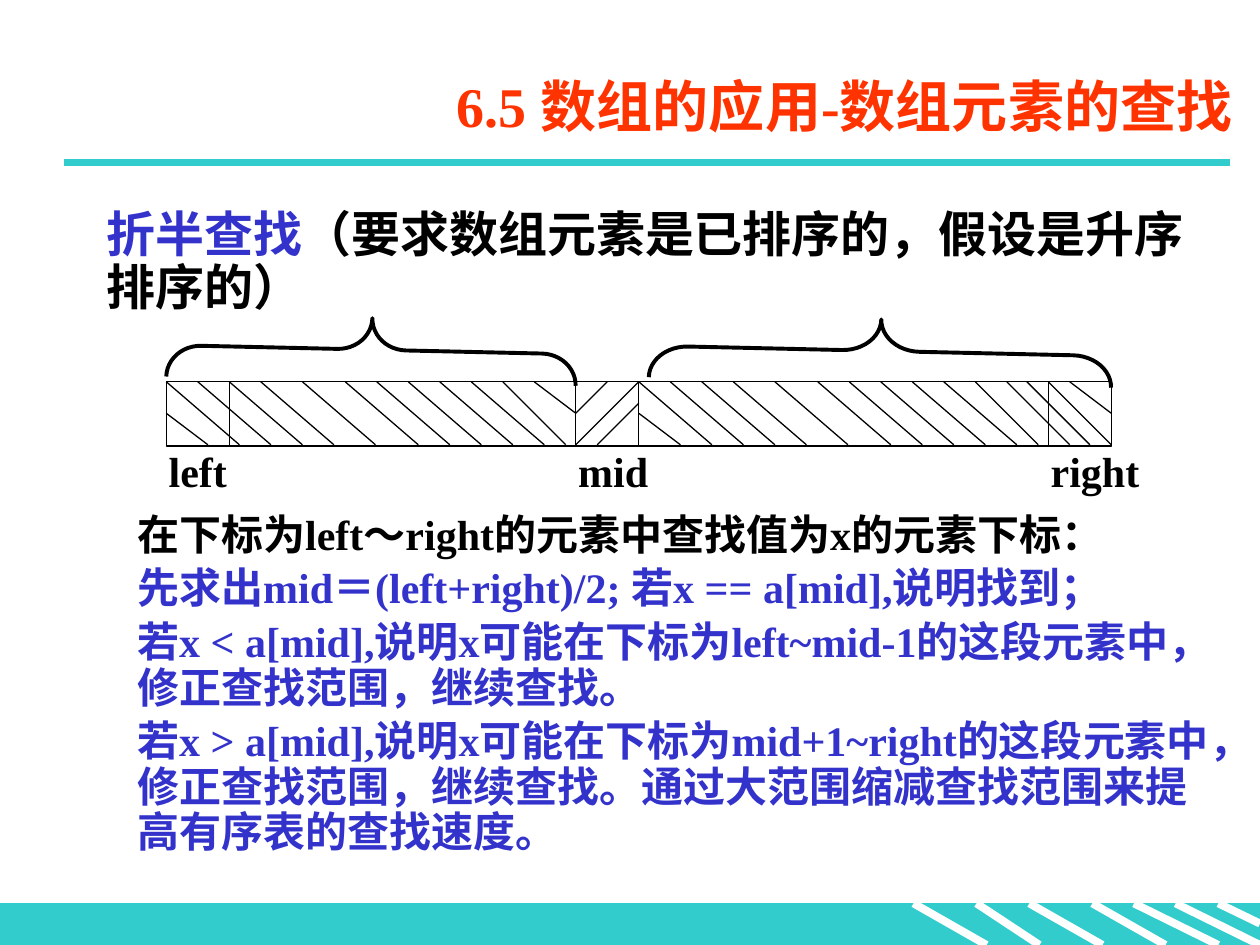
from lxml import etree
from pptx import Presentation
from pptx.dml.color import RGBColor
from pptx.enum import shapes, text
from pptx.oxml.ns import qn
from pptx.util import Inches, Pt

THEME = {
    "font": "Times New Roman",
    "teal": "33CCCC", "white": "FFFFFF", "black": "000000",
    "red": "FF3300", "blue": "3333CC",
    "title": 32, "lead": 28, "body": 24,
    "thin": 0.75, "brace": 2.25, "thick": 4.5,
}

TITLE = [[("6.5 数组的应用-数组元素的查找", "red")]]
LEAD = [[("折半查找", "blue"), ("（要求数组元素是已排序的，假设是升序排序的）", "black")]]
BODY = [
    [("在下标为left～right的元素中查找值为x的元素下标：", "black")],
    [("先求出mid＝(left+right)/2; 若x == a[mid],说明找到；", "blue")],
    [("若x < a[mid],说明x可能在下标为left~mid-1的这段元素中，修正查找范围，继续查找。", "blue")],
    [("若x > a[mid],说明x可能在下标为mid+1~right的这段元素中，修正查找范围，继续查找。"
      "通过大范围缩减查找范围来提高有序表的查找速度。", "blue")],
]

BAR_LEFT, BAR_TOP, BAR_WIDTH, BAR_HEIGHT = 1.32, 3.03, 7.5, 0.5
CELL = 0.5
MID = BAR_LEFT + 3.25
RIGHT = BAR_LEFT + BAR_WIDTH - CELL
DIVIDERS = [BAR_LEFT + CELL, MID, MID + CELL, RIGHT]
LABELS = [("left", BAR_LEFT, 0.67), ("mid", MID, 1.08), ("right", RIGHT, 1.08)]
BRACES = [(2.7, 1.15, 3.25, 0.545), (6.74, 0.95, 3.67, 0.615)]

HATCH_STARTS = [0, 0.25, 0.5, 0.75, 1.08, 1.42, 1.67, 1.92, 2.17, 2.42]
HATCH_RUN = 0.58
HALF = (0.33, 0.25)
STEEP_STARTS = {BAR_LEFT: [2.67], MID + CELL: [2.67, 2.92, 3.08, 3.25]}
MID_HATCH = [(0.25, 0, 0, 0.25), (0.5, 0, 0, 0.5), (0.5, 0.17, 0.17, 0.5)]

FOOTER_TOP, FOOTER_HEIGHT = 7.17, 0.33
FOOTER_STRIPES = [
    (7.25, 7.83, 7.5), (7.75, 8.25, 7.5), (8.17, 8.75, 7.5), (8.67, 9.25, 7.5),
    (9, 9.67, 7.5), (9.33, 10, 7.5), (9.67, 10, 7.33),
]


def color(name):
    return RGBColor.from_string(THEME[name])


def add_line(s, x1, y1, x2, y2, tone="black", weight="thin"):
    c = s.shapes.add_connector(
        shapes.MSO_CONNECTOR.STRAIGHT, Inches(x1), Inches(y1), Inches(x2), Inches(y2))
    c.line.color.rgb = color(tone)
    c.line.width = Pt(THEME[weight])
    etree.SubElement(c._element.spPr, qn("a:effectLst"))


def add_outline(s, kind, x, y, w, h, tone="black", weight="thin", fill=None):
    sp = s.shapes.add_shape(kind, Inches(x), Inches(y), Inches(w), Inches(h))
    sp.shadow.inherit = False
    if fill:
        sp.fill.solid()
        sp.fill.fore_color.rgb = color(fill)
    else:
        sp.fill.background()
    sp.line.color.rgb = color(tone)
    sp.line.width = Pt(THEME[weight])
    return sp


def add_text(s, paragraphs, x, y, w, h, size="body", spacing=0.9):
    tf = s.shapes.add_textbox(Inches(x), Inches(y), Inches(w), Inches(h)).text_frame
    tf.word_wrap = True
    for i, parts in enumerate(paragraphs):
        p = tf.add_paragraph() if i else tf.paragraphs[0]
        p.line_spacing = spacing
        p.space_before = Pt(THEME[size] * 0.2 if i else 0)
        for words, tone in parts:
            r = p.add_run()
            r.text = words
            r.font.name = THEME["font"]
            r.font.size = Pt(THEME[size])
            r.font.bold = True
            r.font.color.rgb = color(tone)
    return tf


def draw_frame(s):
    add_outline(s, shapes.MSO_SHAPE.RECTANGLE, 0, FOOTER_TOP, 10, FOOTER_HEIGHT,
                "teal", fill="teal")
    for x1, x2, y2 in FOOTER_STRIPES:
        add_line(s, x1, FOOTER_TOP, x2, y2, "white", "thick")
    add_line(s, 0.51, 1.29, 9.76, 1.29, "teal", "thick")
    tf = add_text(s, TITLE, 1.38, 0.44, 8.5, 0.79, "title", 1.0)
    tf.vertical_anchor = text.MSO_ANCHOR.MIDDLE
    tf.paragraphs[0].alignment = text.PP_ALIGN.RIGHT


def draw_array(s):
    bottom = BAR_TOP + BAR_HEIGHT
    add_outline(s, shapes.MSO_SHAPE.RECTANGLE, BAR_LEFT, BAR_TOP, BAR_WIDTH, 0.51)
    for x in DIVIDERS:
        add_line(s, x, BAR_TOP, x, bottom)
    for label, x, w in LABELS:
        add_text(s, [[(label, "black")]], x - 0.08, bottom, w, 0.5)
    for x, y, h, curl in BRACES:
        sp = add_outline(s, shapes.MSO_SHAPE.RIGHT_BRACE, x, y, 0.5, h, weight="brace")
        sp.adjustments[0] = curl
        sp.rotation = 271.3


def draw_hatching(s):
    bottom = BAR_TOP + BAR_HEIGHT
    half_run, half_drop = HALF
    for x1, y1, x2, y2 in MID_HATCH:
        add_line(s, MID + x1, BAR_TOP + y1, MID + x2, BAR_TOP + y2)
    for (start, steep), end in zip(STEEP_STARTS.items(), (MID, BAR_LEFT + BAR_WIDTH)):
        strokes = [(x, HATCH_RUN) for x in HATCH_STARTS] + [(x, CELL) for x in steep]
        for x, run in strokes:
            add_line(s, start + x, BAR_TOP, start + x + run, bottom)
        add_line(s, start, BAR_TOP + half_drop, start + half_run, bottom)
        add_line(s, end - half_run, BAR_TOP, end, BAR_TOP + half_drop)


def main():
    prs = Presentation()
    prs.slide_width, prs.slide_height = Inches(10), Inches(7.5)
    s = prs.slides.add_slide(prs.slide_layouts[6])
    draw_frame(s)
    draw_array(s)
    add_text(s, LEAD, 0.75, 1.62, 8.83, 0.95, "lead")
    add_text(s, BODY, 0.99, 4.03, 8.75, 2.9)
    draw_hatching(s)
    prs.save("out.pptx")


if __name__ == "__main__":
    main()
